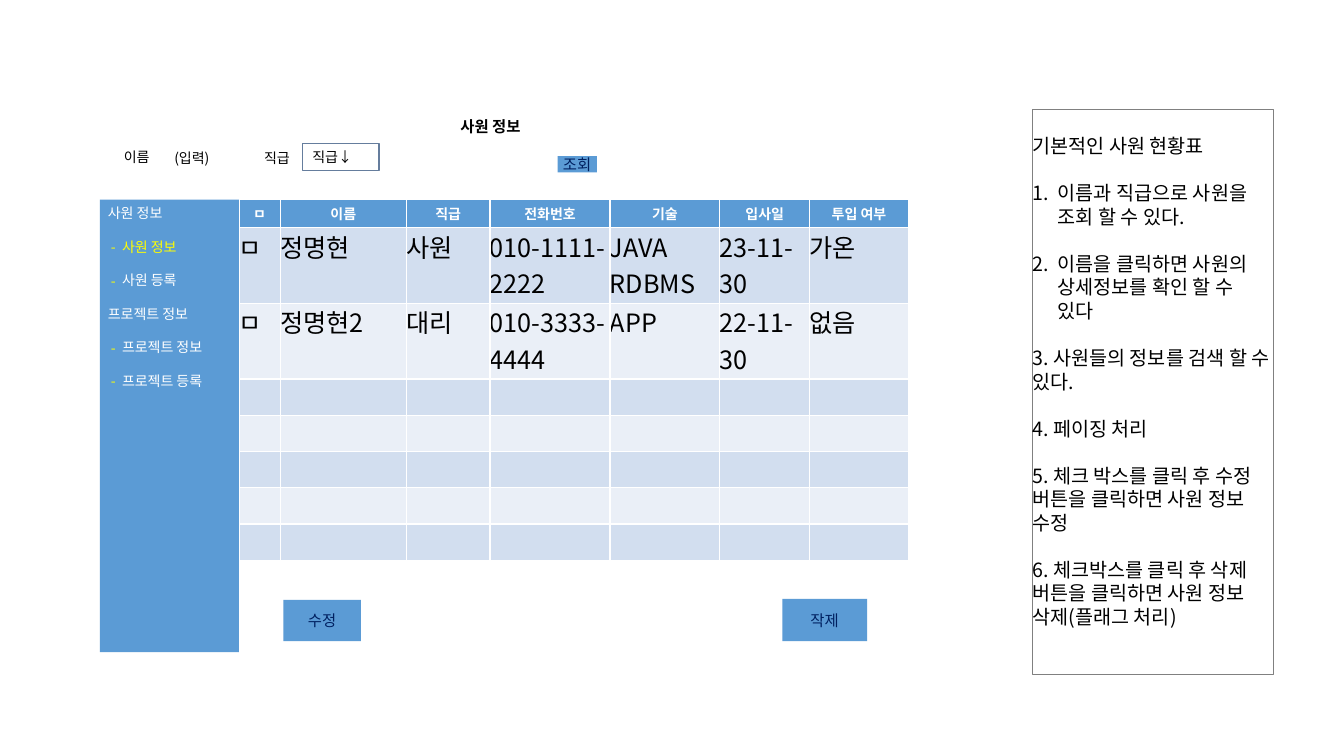
import pptx
import pptx.dml.color
import pptx.enum.shapes
import pptx.enum.text
import pptx.oxml
import pptx.oxml.ns
import pptx.util

Inches = pptx.util.Inches
Pt = pptx.util.Pt
RGBColor = pptx.dml.color.RGBColor
PP_ALIGN = pptx.enum.text.PP_ALIGN
MSO_ANCHOR = pptx.enum.text.MSO_ANCHOR
RECTANGLE = pptx.enum.shapes.MSO_SHAPE.RECTANGLE

FONT = "Noto Sans CJK KR"
BLACK = RGBColor(0x00, 0x00, 0x00)
WHITE = RGBColor(0xFF, 0xFF, 0xFF)
YELLOW = RGBColor(0xFF, 0xFF, 0x00)
NAVY = RGBColor(0x00, 0x20, 0x60)
BLUE = RGBColor(0x5B, 0x9B, 0xD5)
GRAY = RGBColor(0x80, 0x80, 0x80)
SLATE = RGBColor(0x65, 0x7D, 0x9D)
BANDS = [RGBColor(0xD2, 0xDE, 0xEF), RGBColor(0xEA, 0xEF, 0xF7)]


def format_text(paragraph, size, color, bold=False, align=PP_ALIGN.LEFT, spacing=None):
    """Format a paragraph and its runs, with the font for Korean text too."""
    paragraph.alignment = align
    paragraph.line_spacing = spacing
    paragraph.space_before = Pt(0)
    for run in paragraph.runs:
        run.font.name = FONT
        run.font.size = Pt(size)
        run.font.bold = bold
        run.font.color.rgb = color
        east_asian = pptx.oxml.parse_xml(
            f'<a:ea {pptx.oxml.ns.nsdecls("a")} typeface="{FONT}"/>')
        run.font._element.find(pptx.oxml.ns.qn("a:latin")).addnext(east_asian)


def set_bullet(paragraph, left, hanging, *tags):
    """Set the indents in inches and the bullet elements of a paragraph."""
    properties = paragraph._p.get_or_add_pPr()
    properties.set("marL", str(Inches(left)))
    properties.set("indent", str(-Inches(hanging)))
    for tag in tags:
        properties.append(pptx.oxml.parse_xml(
            tag.replace("/>", f' {pptx.oxml.ns.nsdecls("a")}/>', 1)
            if tag.endswith("/>") and tag.count("<") == 1
            else tag.replace(">", f' {pptx.oxml.ns.nsdecls("a")}>', 1)))


presentation = pptx.Presentation()
presentation.slide_width = Inches(13.33)
presentation.slide_height = Inches(7.5)
slide = presentation.slides.add_slide(presentation.slide_layouts[1])

# Page title
title = slide.shapes.title
title.left, title.top, title.width, title.height = map(Inches, (1.13, 1.11, 7.47, 0.29))
title.text_frame.text = "사원 정보"
title.text_frame.vertical_anchor = MSO_ANCHOR.TOP
title.text_frame.auto_size = pptx.enum.text.MSO_AUTO_SIZE.NONE
format_text(title.text_frame.paragraphs[0], 11, BLACK, True, PP_ALIGN.CENTER, Pt(13.2))

# Description panel: the first two points are numbered automatically
description = slide.placeholders[1]
description.left, description.top, description.width, description.height = map(
    Inches, (10.24, 1.09, 2.39, 5.6))
description.fill.solid()
description.fill.fore_color.rgb = WHITE
description.line.color.rgb = GRAY
description.line.width = Pt(0.75)
frame = description.text_frame
frame.auto_size = pptx.enum.text.MSO_AUTO_SIZE.NONE
frame.margin_left = frame.margin_right = frame.margin_bottom = 0
frame.margin_top = Inches(0.24)
frame.text = "\n".join([
    "기본적인 사원 현황표",
    "이름과 직급으로 사원을 조회 할 수 있다.",
    "이름을 클릭하면 사원의 상세정보를 확인 할 수 있다",
    "3. 사원들의 정보를 검색 할 수 있다.",
    "4. 페이징 처리",
    "5. 체크 박스를 클릭 후 수정 버튼을 클릭하면 사원 정보 수정",
    "6. 체크박스를 클릭 후 삭제 버튼을 클릭하면 사원 정보 삭제(플래그 처리)",
])
for number, paragraph in enumerate(frame.paragraphs):
    format_text(paragraph, 14, BLACK, spacing=Pt(16.8))
    paragraph.space_after = Pt(16.8)
    if number in (1, 2):
        set_bullet(paragraph, 0.25, 0.25, '<a:buFont typeface="+mj-lt"/>',
                   f'<a:buAutoNum type="arabicPeriod" startAt="{number}"/>')
    else:
        set_bullet(paragraph, 0, 0, "<a:buNone/>")

# Employee table
rows = [
    ["ㅁ", "이름", "직급", "전화번호", "기술", "입사일", "투입 여부"],
    ["ㅁ", "정명현", "사원", "010-1111-2222", "JAVA\nRDBMS", "23-11-30", "가온"],
    ["ㅁ", "정명현2", "대리", "010-3333-4444", "APP", "22-11-30", "없음"],
] + [[""] * 7] * 5
column_widths = [0.41, 1.25, 0.83, 1.19, 1.09, 0.89, 0.98]
row_heights = [0.28] + [0.75] * 2 + [0.36] * 5
table = slide.shapes.add_table(len(rows), len(column_widths), Inches(2.37), Inches(1.98),
                               Inches(6.64), Inches(3.59)).table
for column, width in zip(table.columns, column_widths):
    column.width = Inches(width)
for row_number, (values, height) in enumerate(zip(rows, row_heights)):
    is_header = row_number == 0
    table.rows[row_number].height = Inches(height)
    for column_number, value in enumerate(values):
        cell = table.cell(row_number, column_number)
        cell.margin_left = cell.margin_right = cell.margin_top = cell.margin_bottom = 0
        cell.fill.solid()
        cell.fill.fore_color.rgb = BLUE if is_header else BANDS[(row_number - 1) % 2]
        cell.text_frame.text = value
        for paragraph in cell.text_frame.paragraphs:
            if is_header:
                cell.vertical_anchor = MSO_ANCHOR.MIDDLE
                format_text(paragraph, 10, WHITE, True, PP_ALIGN.CENTER)
            else:
                format_text(paragraph, 18, BLACK)

# Side menu
menu = slide.shapes.add_shape(RECTANGLE, Inches(0.99), Inches(1.98), Inches(1.38), Inches(4.49))
menu.shadow.inherit = False
menu.fill.solid()
menu.fill.fore_color.rgb = BLUE
menu.line.fill.background()
menu.text_frame.word_wrap = True
menu.text_frame.vertical_anchor = MSO_ANCHOR.TOP
menu.text_frame.margin_left = menu.text_frame.margin_right = Inches(0.08)
menu_items = [
    ("사원 정보", False, WHITE), ("사원 정보", True, YELLOW), ("사원 등록", True, WHITE),
    ("프로젝트 정보", False, WHITE), ("프로젝트 정보", True, WHITE), ("프로젝트 등록", True, WHITE),
]
menu.text_frame.text = "\n".join(item[0] for item in menu_items)
for paragraph, (label, is_sub_item, color) in zip(menu.text_frame.paragraphs, menu_items):
    format_text(paragraph, 10, color, spacing=Pt(12))
    paragraph.space_after = Pt(12)
    if is_sub_item:
        set_bullet(paragraph, 0.14, 0.11,
                   f'<a:buClr><a:srgbClr val="{YELLOW}"/></a:buClr>',
                   f'<a:buFont typeface="{FONT}"/>', '<a:buChar char="-"/>')

# Search labels
for label, left, top, width in [("이름", 1.13, 1.42, 0.48), ("(입력)", 1.63, 1.43, 0.59),
                                ("직급", 2.52, 1.43, 0.48), ("직급↓", 3, 1.42, 0.76)]:
    field = slide.shapes.add_textbox(Inches(left), Inches(top), Inches(width), Inches(0.27))
    field.text_frame.word_wrap = True
    field.text_frame.text = label
    format_text(field.text_frame.paragraphs[0], 10, BLACK, spacing=Pt(12))
    if label == "직급↓":
        field.line.color.rgb = SLATE
        field.line.width = Pt(0.75)

# Buttons
for label, left, top, width, height in [("조회", 5.53, 1.55, 0.39, 0.16),
                                        ("수정", 2.81, 5.95, 0.77, 0.41),
                                        ("작제", 7.76, 5.94, 0.84, 0.42)]:
    button = slide.shapes.add_shape(RECTANGLE, Inches(left), Inches(top),
                                    Inches(width), Inches(height))
    button.shadow.inherit = False
    button.fill.solid()
    button.fill.fore_color.rgb = BLUE
    button.line.fill.background()
    frame = button.text_frame
    frame.margin_left = frame.margin_right = frame.margin_top = frame.margin_bottom = 0
    frame.vertical_anchor = MSO_ANCHOR.MIDDLE
    frame.text = label
    format_text(frame.paragraphs[0], 11, NAVY, align=PP_ALIGN.CENTER, spacing=Pt(13.2))

presentation.save("out.pptx")
